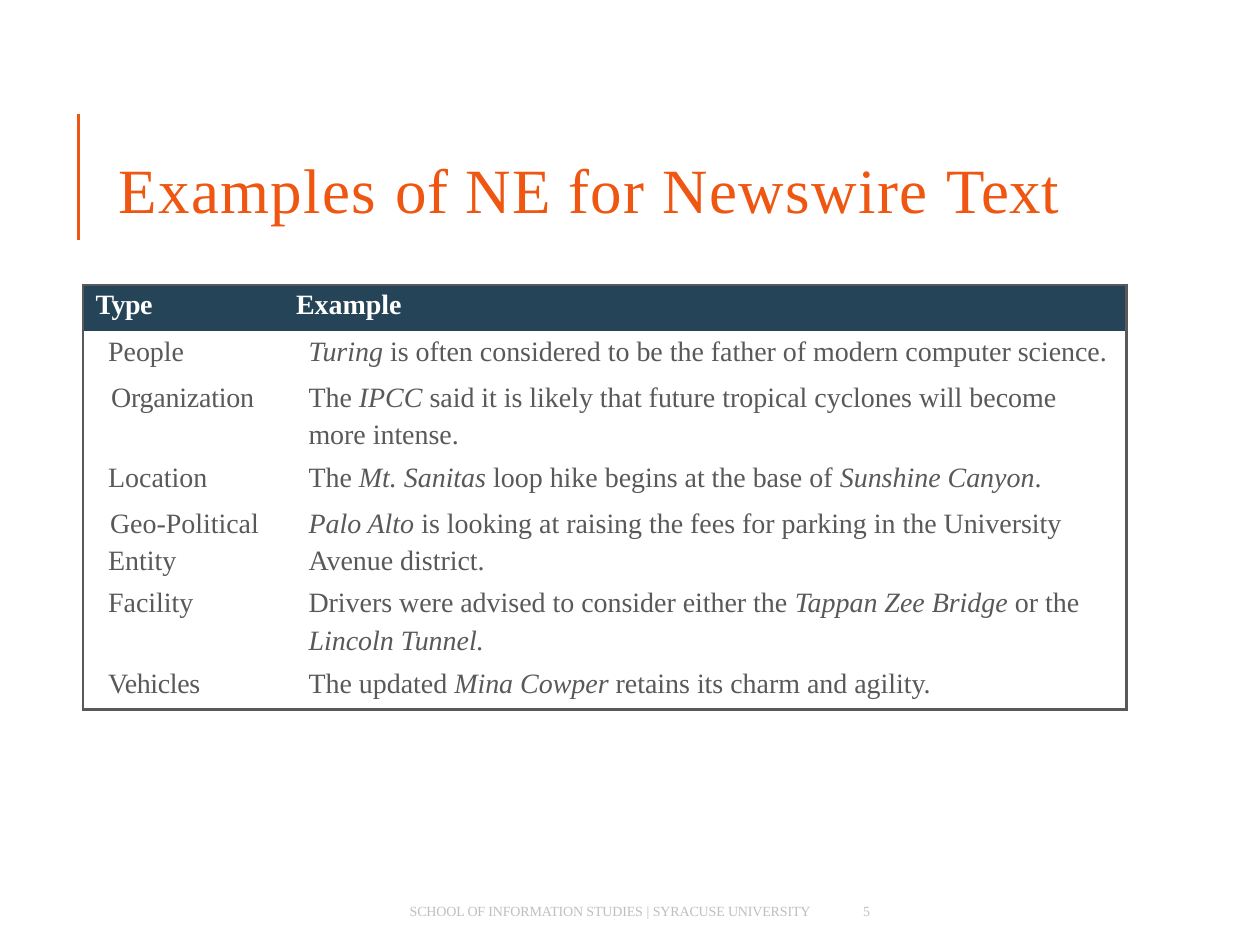
from lxml import etree
from pptx import Presentation
from pptx.dml.color import RGBColor
from pptx.enum.shapes import MSO_CONNECTOR
from pptx.enum.text import MSO_ANCHOR
from pptx.oxml import parse_xml
from pptx.oxml.ns import nsdecls, qn
from pptx.util import Cm, Pt

FONT = "Times New Roman"
PLAIN = "{2D5ABB26-0587-4C30-8999-92F81FD0307C}"
HEX = {"accent": "EE5612", "head": "264457", "text": "595959",
       "white": "FFFFFF", "foot": "BFBFBF"}

# Content: title runs carry their letter spacing in points
TITLE = [("Examples ", 0.8), ("of NE ", 0.5), ("for ", 0.7),
         ("Newswire ", 0.8), ("Text", 0.3)]
FOOT = [("SCHOOL OF INFORMATION STUDIES ", -0.1), ("| ", 0),
        ("SYRACUSE UNIVERSITY", -0.1)]
NUMBER = [("5", 0)]

# Rows: height, top inset, type, type indent, type spacing, example pieces
# Example pieces alternate between upright and italic
ROWS = [
    (0.94, 0.1, "Type", 0.25, -0.3, ["Example"]),
    (0.94, 0.1, "People", 0.5, 0,
     ["", "Turing ",
      "is often considered to be the father of modern computer science."]),
    (0.81, 0.1, "Organization", 0.56, -0.1,
     ["The ", "IPCC ",
      "said it is likely that future tropical cyclones will become"]),
    (0.81, 0, "", 0.5, 0, ["more intense."]),
    (0.91, 0.08, "Location", 0.5, 0,
     ["The ", "Mt. Sanitas ", "loop hike begins at the base of ",
      "Sunshine Canyon", "."]),
    (0.81, 0.1, "Geo-Political", 0.54, 0,
     ["", "Palo Alto ",
      "is looking at raising the fees for parking in the University"]),
    (0.81, 0, "Entity", 0.5, 0, ["Avenue district."]),
    (0.81, 0.08, "Facility", 0.5, 0,
     ["Drivers were advised to consider either the ",
      "Tappan Zee Bridge ", "or the"]),
    (0.81, 0, "", 0.5, 0, ["", "Lincoln Tunnel."]),
    (0.91, 0.08, "Vehicles", 0.5, -0.2,
     ["The updated ", "Mina Cowper ", "retains its charm and agility."]),
]
COLS = [3.91, 17.12]


def color(name):
    return RGBColor.from_string(HEX[name])


def add_run(para, text, size, hue, gap=0, bold=False, italic=False):
    run = para.add_run()
    run.text = text
    font = run.font
    font.name, font.size = FONT, Pt(size)
    font.bold, font.italic = bold, italic
    font.color.rgb = color(hue)
    if gap:
        run._r.get_or_add_rPr().set("spc", str(round(gap * 100)))


def fill_box(shape, runs, size, hue):
    frame = shape.text_frame
    frame.word_wrap = True
    frame.vertical_anchor = MSO_ANCHOR.TOP
    frame.margin_left = frame.margin_right = 0
    frame.margin_top = frame.margin_bottom = 0
    para = frame.paragraphs[0]
    para.space_before, para.line_spacing = Pt(0), 1.0
    for text, gap in runs:
        add_run(para, text, size, hue, gap)


def add_edge(cell, side):
    cell._tc.get_or_add_tcPr().append(parse_xml(
        f'<a:ln{side} {nsdecls("a")} w="19050"><a:solidFill>'
        f'<a:srgbClr val="{HEX["text"]}"/></a:solidFill></a:ln{side}>'))


def fill_cell(cell, top, indent, runs, head, edges):
    cell.margin_left = cell.margin_right = cell.margin_bottom = 0
    cell.margin_top = Cm(top)
    for side in edges:
        add_edge(cell, side)
    if head:
        cell.fill.solid()
        cell.fill.fore_color.rgb = color("head")
    else:
        cell.fill.background()
    para = cell.text_frame.paragraphs[0]
    para._p.get_or_add_pPr().set("marL", str(Cm(indent)))
    if not top:
        para.line_spacing = Pt(18.6)
    para.font.size = Pt(16)
    for text, gap, italic in runs:
        if text:
            add_run(para, text, 16, "white" if head else "text",
                    gap, head, italic)


def add_grid(slide):
    high = sum(row[0] for row in ROWS)
    grid = slide.shapes.add_table(len(ROWS), len(COLS), Cm(1.68), Cm(5.74),
                                  Cm(sum(COLS)), Cm(high)).table
    grid.first_row = grid.horz_banding = False
    grid._tbl.tblPr.find(qn("a:tableStyleId")).text = PLAIN
    for col, wide in zip(grid.columns, COLS):
        col.width = Cm(wide)
    last = len(ROWS) - 1
    for i, (tall, top, kind, indent, gap, parts) in enumerate(ROWS):
        grid.rows[i].height = Cm(tall)
        head = i == 0
        ends = ["T"] * head + ["B"] * (i == last)
        fill_cell(grid.cell(i, 0), top, indent, [(kind, gap, False)],
                  head, ["L"] + ends)
        runs = [(part, 0, n % 2 == 1) for n, part in enumerate(parts)]
        fill_cell(grid.cell(i, 1), top, 0.38 if head else 0.63, runs,
                  head, ["R"] + ends)


def main():
    deck = Presentation()
    deck.slide_width, deck.slide_height = Cm(25.4), Cm(19.05)
    slide = deck.slides.add_slide(deck.slide_layouts[5])

    # Accent bar
    bar = slide.shapes.add_connector(MSO_CONNECTOR.STRAIGHT, Cm(1.58),
                                     Cm(2.29), Cm(1.58), Cm(4.83))
    bar.line.color.rgb = color("accent")
    bar.line.width = Pt(2)
    etree.SubElement(bar._element.spPr, qn("a:effectLst"))

    # Title
    title = slide.shapes.title
    title.left, title.top = Cm(2.39), Cm(3.03)
    title.width, title.height = Cm(20), Cm(1.6)
    fill_box(title, TITLE, 36, "accent")
    title.text_frame.paragraphs[0]._p.get_or_add_pPr().set("algn", "l")

    # Table
    add_grid(slide)

    # Footer and slide number
    for left, wide, runs in [(8.26, 8.6, FOOT), (17.4, 0.5, NUMBER)]:
        box = slide.shapes.add_textbox(Cm(left), Cm(18.19), Cm(wide), Cm(0.38))
        fill_box(box, runs, 8, "foot")

    deck.save("out.pptx")


if __name__ == "__main__":
    main()
